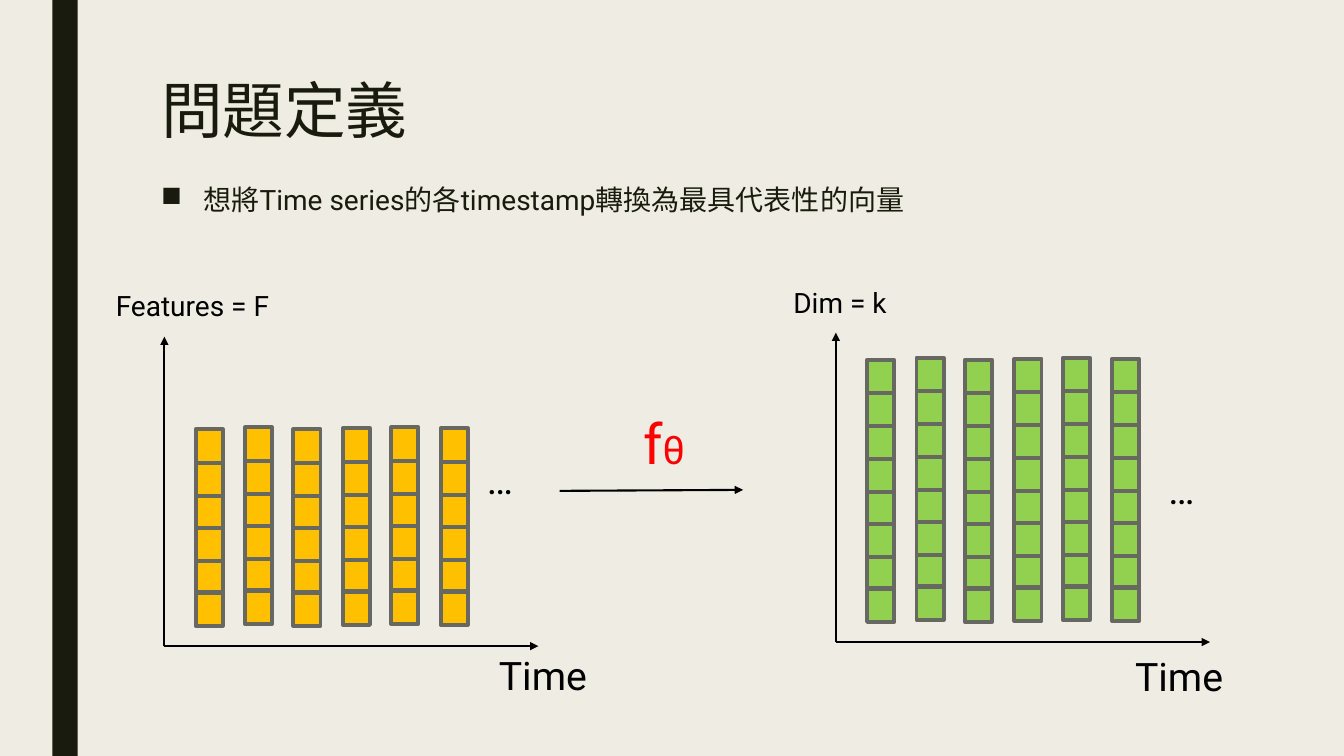
from lxml import etree
from pptx import Presentation
from pptx.dml.color import RGBColor
from pptx.enum.shapes import MSO_CONNECTOR, MSO_SHAPE
from pptx.enum.text import MSO_ANCHOR, MSO_AUTO_SIZE
from pptx.oxml.ns import qn
from pptx.util import Pt

SCALE = 9144
RECTANGLE = MSO_SHAPE.RECTANGLE
STRAIGHT = MSO_CONNECTOR.STRAIGHT
TOP = MSO_ANCHOR.TOP
FIT_SHAPE = MSO_AUTO_SIZE.SHAPE_TO_FIT_TEXT
FIXED = MSO_AUTO_SIZE.NONE

FONT = "Roboto"
PAPER, INK, BLACK, RED = "EFEDE3", "191B0E", "000000", "FF0000"
ORANGE, GREEN, EDGE = "FFC000", "92D050", "686863"

COLUMN_PITCH = 48.6
COLUMN_LIFTS = (0, 2, 0, 1, 2, 1)
ROW_LIFTS = (0, 34, 64, 97, 129, 162, 194, 227)
CELL_WIDTH, CELL_HEIGHT = 27, 33


def px(length):
    return round(length) * SCALE


def color(value):
    return RGBColor.from_string(value)


def add_rectangle(shapes, box, fill, edge=None):
    shape = shapes.add_shape(RECTANGLE, *map(px, box))
    shape.shadow.inherit = False
    shape.fill.solid()
    shape.fill.fore_color.rgb = color(fill)
    if edge:
        shape.line.color.rgb = color(edge)
        shape.line.width = Pt(2.75)
    else:
        shape.line.fill.background()


def add_arrow(page, start, end):
    arrow = page.shapes.add_connector(STRAIGHT, *map(px, start + end))
    arrow.line.color.rgb = color(BLACK)
    arrow.line.width = Pt(1.5)
    etree.SubElement(arrow.line._get_or_add_ln(), qn("a:tailEnd"), type="triangle")
    etree.SubElement(arrow._element.spPr, qn("a:effectLst"))


def add_span(para, text, size, ink):
    span = para.add_run()
    span.text = text
    span.font.size = Pt(size)
    span.font.color.rgb = color(ink)
    span.font.name = FONT
    etree.SubElement(span._r.get_or_add_rPr(), qn("a:ea"), typeface=FONT)


def add_text(page, box, text, size=28, ink=BLACK, spacing=None, bullet=None,
             indent=42, after=None, fit=FIT_SHAPE):
    frame = page.shapes.add_textbox(*map(px, box)).text_frame
    frame.word_wrap = True
    frame.auto_size = fit
    frame.vertical_anchor = TOP
    para = frame.paragraphs[0]
    if bullet:
        properties = para._p.get_or_add_pPr()
        properties.set("marL", str(px(indent)))
        properties.set("indent", str(px(-indent)))
        etree.SubElement(properties, qn("a:buChar"), char=bullet)
    if spacing:
        para.line_spacing = spacing
    if after:
        para.space_after = Pt(after)
    add_span(para, text, size, ink)
    return para


def add_heading(page, box):
    left, top, width, height = box
    add_text(page, (left, top, width, 162), "問題定義", size=44, ink=INK,
             spacing=0.89, fit=FIXED)
    add_text(page, (left, top + 104, width, height - 104),
             "想將Time series的各timestamp轉換為最具代表性的向量", size=20, ink=INK,
             spacing=0.94, bullet="■", after=2, fit=FIXED)


def add_series(page, box, label, rows, fill, label_shift, time_shift, dots_shift, dots_width):
    left, top, width, height = box
    origin = (left, top + height)
    add_arrow(page, origin, (left + width, top + height))
    add_arrow(page, origin, (left, top))
    for index, column_lift in enumerate(COLUMN_LIFTS):
        column = page.shapes.add_group_shape()
        cell_left = left + 31 + index * COLUMN_PITCH
        for row_lift in ROW_LIFTS[:rows]:
            cell_top = top + height - 53 - column_lift - row_lift
            add_rectangle(column.shapes, (cell_left, cell_top, CELL_WIDTH, CELL_HEIGHT),
                          fill, EDGE)
    for text, shift, text_width, text_height, size in (
        (label, label_shift, 310, 44, 20),
        ("Time", time_shift, 164, 57, 28),
        ("…", dots_shift, dots_width, 57, 28),
    ):
        add_text(page, (left + shift[0], top + shift[1], text_width, text_height),
                 text, size=size)


def add_mapping(page, box):
    left, top, width, height = box
    add_arrow(page, (left, top + height), (left + width, top + height - 1))
    para = add_text(page, (left + 73, top, 89, 77), "f", size=40, ink=RED)
    add_span(para, "θ", 28, RED)


def main():
    deck = Presentation()
    deck.slide_width, deck.slide_height = px(1333), px(750)
    page = deck.slides.add_slide(deck.slide_layouts[6])
    page.background.fill.solid()
    page.background.fill.fore_color.rgb = color(PAPER)
    add_rectangle(page.shapes, (52, 0, 25, 750), INK)
    add_heading(page, (150, 75, 1050, 496))
    add_series(page, (163, 334, 371, 307), "Features = F", 6, ORANGE,
               label_shift=(-58, -53), time_shift=(322, 307),
               dots_shift=(310, 113), dots_width=164)
    add_series(page, (829, 330, 371, 307), "Dim = k", 8, GREEN,
               label_shift=(-52, -52), time_shift=(287, 312),
               dots_shift=(320, 127), dots_width=79)
    add_mapping(page, (555, 400, 182, 87))
    deck.save("out.pptx")


if __name__ == "__main__":
    main()
